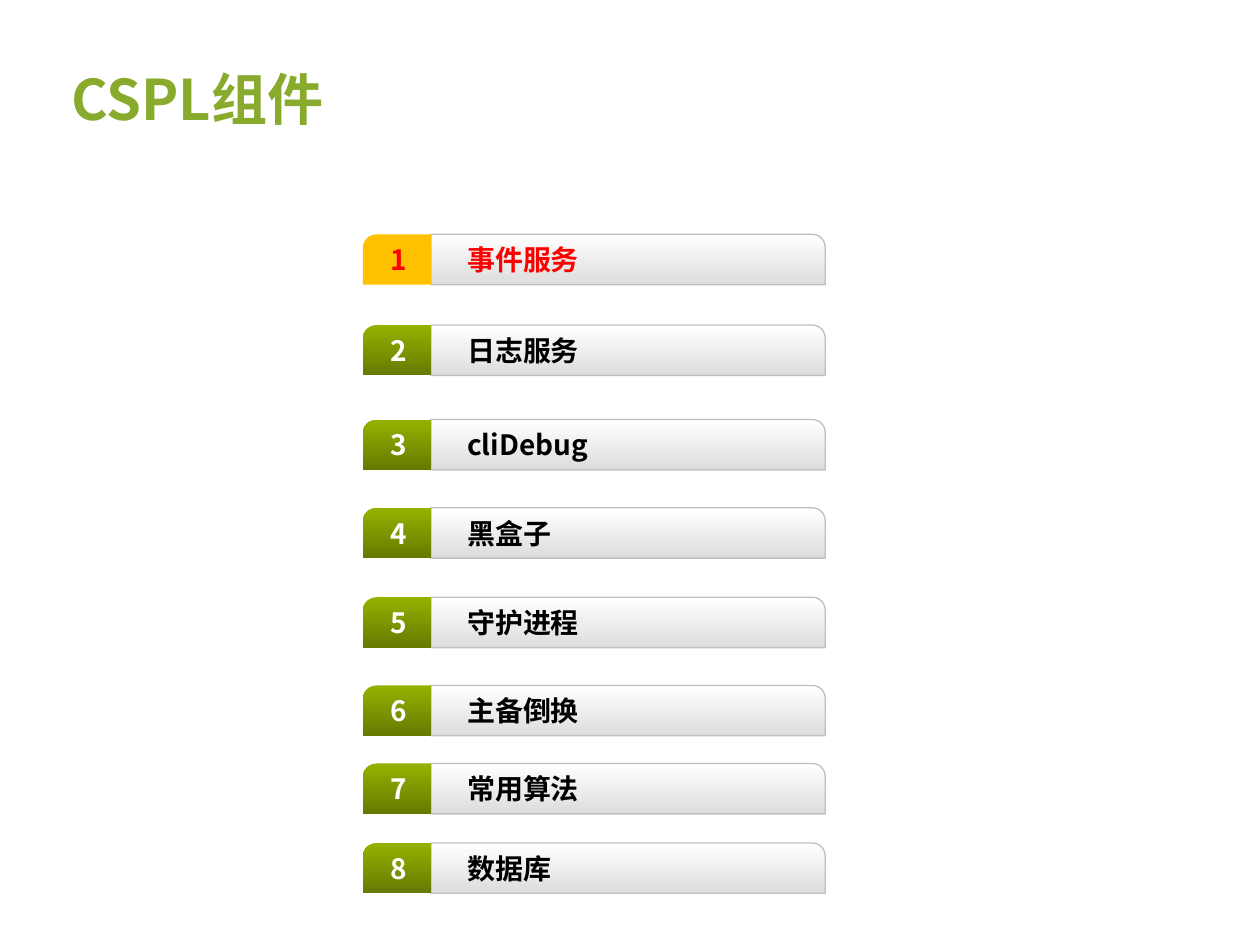
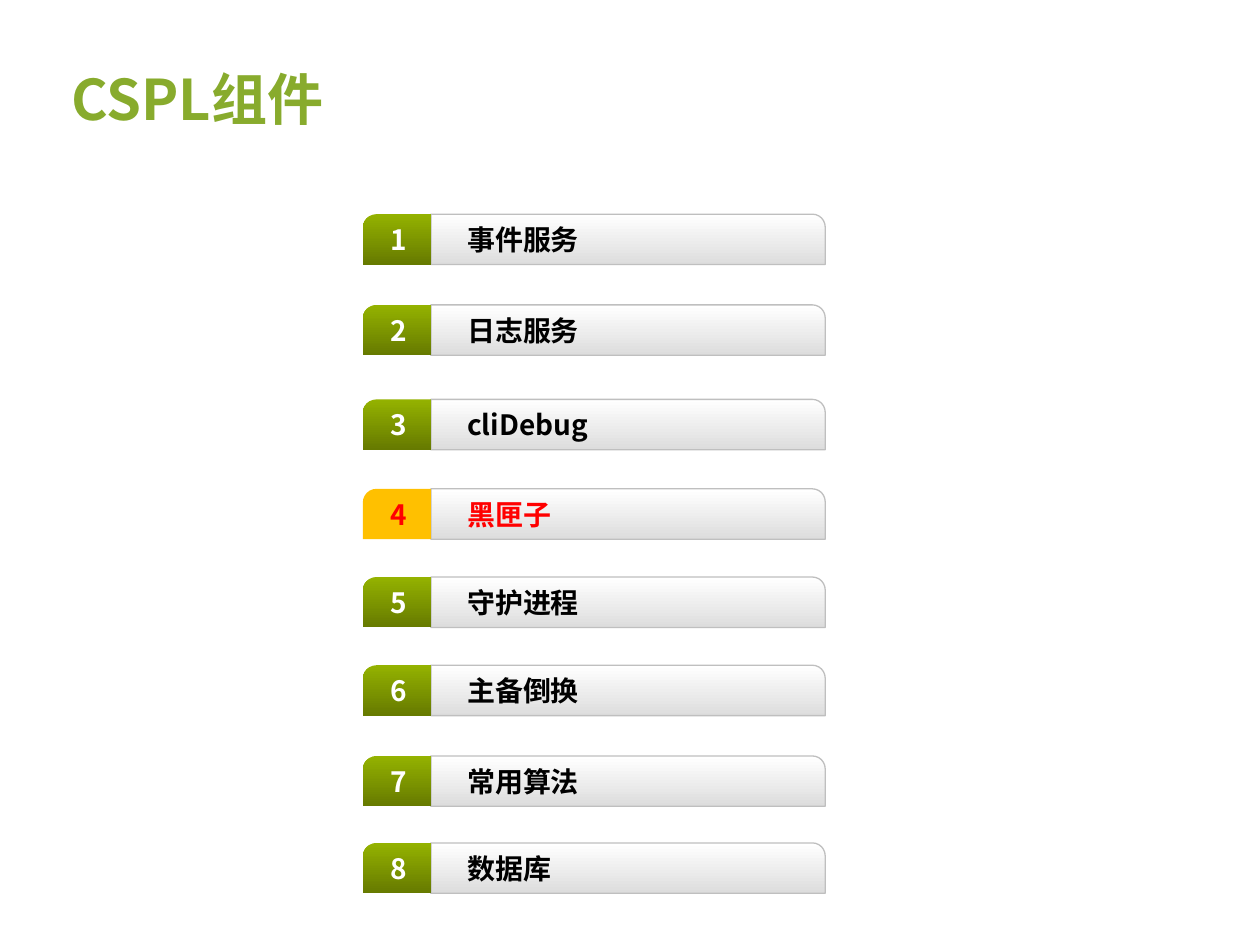
from pptx import Presentation
from pptx.dml.color import RGBColor
from pptx.enum.shapes import MSO_SHAPE
from pptx.enum.text import MSO_ANCHOR, PP_ALIGN
from pptx.oxml.ns import qn
from pptx.util import Inches, Pt
from lxml import etree

# Content: label and top of each row, and the number of the current row
TITLE = "CSPL组件"
AGENDAS = [
    {"current": 1, "rows": [
        ("事件服务", 1.86), ("日志服务", 2.58), ("cliDebug", 3.33), ("黑盒子", 4.03),
        ("守护进程", 4.74), ("主备倒换", 5.44), ("常用算法", 6.06), ("数据库", 6.69)]},
    {"current": 4, "rows": [
        ("事件服务", 1.70), ("日志服务", 2.42), ("cliDebug", 3.17), ("黑匣子", 3.88),
        ("守护进程", 4.58), ("主备倒换", 5.28), ("常用算法", 6.00), ("数据库", 6.69)]},
]

# Shared style
FONT = "Noto Sans CJK SC"
COLORS = {
    "title": "88AB2D", "text": "000000", "number": "FFFFFF",
    "current": "FF0000", "current_badge": "FFC000",
    "badge_top": "94B200", "badge_bottom": "667A00",
    "bar_top": "FFFFFF", "bar_bottom": "DDDDDD", "bar_line": "BFBFBF",
}
BADGE_LEFT, BADGE_W, BAR_W, ROW_H = 2.88, 0.54, 3.13, 0.4
LABEL_INDENT = 0.19


def rgb(name):
    return RGBColor.from_string(COLORS[name])


def write(sp, text, size, color, align=PP_ALIGN.LEFT, indent=0):
    tf = sp.text_frame
    tf.word_wrap = True
    tf.vertical_anchor = MSO_ANCHOR.MIDDLE
    p = tf.paragraphs[0]
    p.text = text
    p.alignment = align
    pPr = p._p.get_or_add_pPr()
    pPr.set("marL", str(Inches(indent)))
    font = p.font
    font.name, font.size, font.bold = FONT, Pt(size), True
    font.color.rgb = rgb(color)
    # East Asian text takes the same typeface
    etree.SubElement(pPr.find(qn("a:defRPr")), qn("a:ea"), typeface=FONT)


def paint(sp, *names):
    """Fill with one colour, or with a gradient from top to bottom."""
    if len(names) == 1:
        sp.fill.solid()
        sp.fill.fore_color.rgb = rgb(names[0])
        return
    sp.fill.gradient()
    sp.fill.gradient_angle = 270
    for stop, name in zip(sp.fill.gradient_stops, names):
        stop.color.rgb = rgb(name)


def add_tab(s, left, top, width, rounding):
    sp = s.shapes.add_shape(MSO_SHAPE.ROUND_1_RECTANGLE, Inches(left), Inches(top),
                            Inches(width), Inches(ROW_H))
    sp.adjustments[0] = rounding
    sp.shadow.inherit = False
    return sp


def add_row(s, number, label, top, is_current):
    # Label bar
    bar = add_tab(s, BADGE_LEFT + BADGE_W, top, BAR_W, 0.255)
    paint(bar, "bar_top", "bar_bottom")
    bar.line.color.rgb = rgb("bar_line")
    bar.line.width = Pt(0.75)
    write(bar, label, 16, "current" if is_current else "text", indent=LABEL_INDENT)

    # Number badge, mirrored so that its left corner is round
    badge = add_tab(s, BADGE_LEFT, top, BADGE_W, 0.271)
    badge._element.spPr.find(qn("a:xfrm")).set("flipH", "1")
    paint(badge, *(["current_badge"] if is_current else ["badge_top", "badge_bottom"]))
    badge.line.fill.background()
    write(badge, str(number), 16, "current" if is_current else "number", PP_ALIGN.CENTER)


def add_agenda(prs, agenda):
    s = prs.slides.add_slide(prs.slide_layouts[6])
    title = s.shapes.add_textbox(Inches(0.47), Inches(0.47), Inches(6.48), Inches(0.62))
    write(title, TITLE, 32, "title")
    for number, (label, top) in enumerate(agenda["rows"], 1):
        add_row(s, number, label, top, number == agenda["current"])


def main():
    prs = Presentation()
    prs.slide_width, prs.slide_height = Inches(10), Inches(7.5)
    for agenda in AGENDAS:
        add_agenda(prs, agenda)
    prs.save("out.pptx")


if __name__ == "__main__":
    main()
